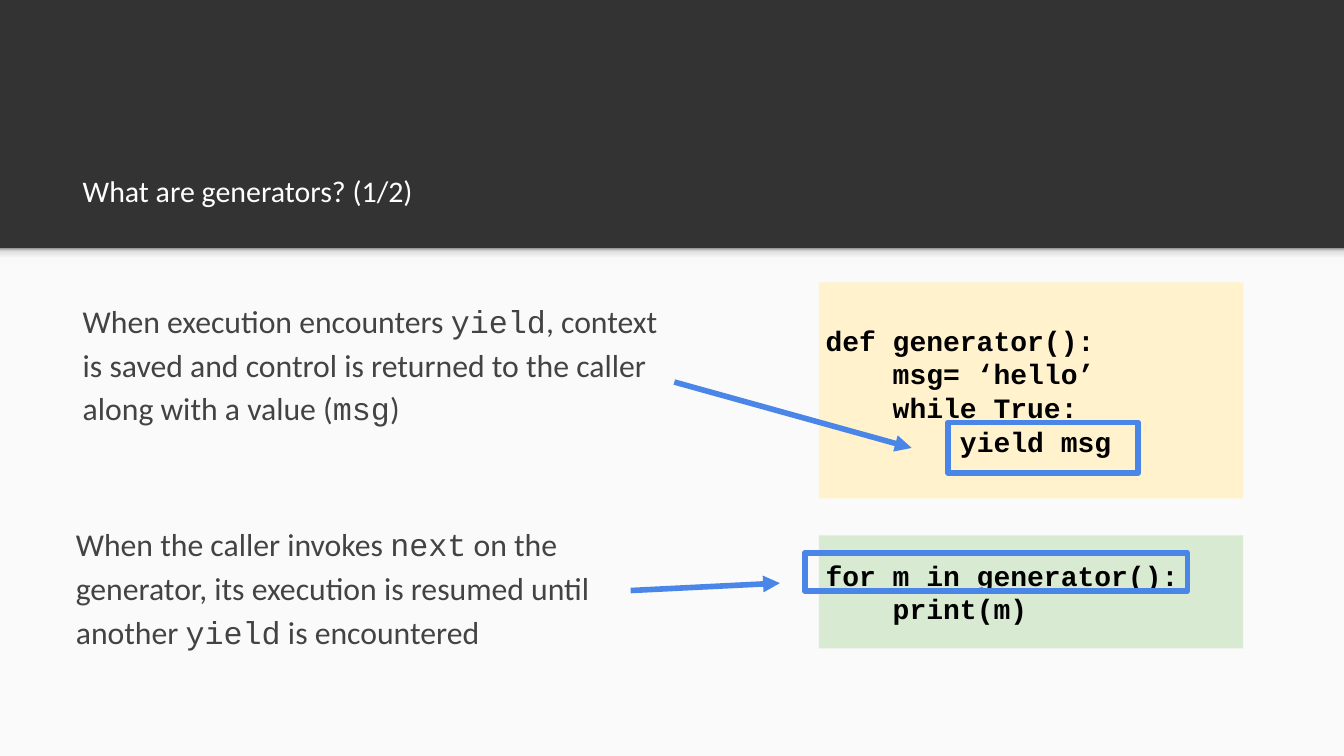
from lxml.etree import SubElement
from pptx import Presentation
from pptx.dml.color import RGBColor
from pptx.enum.shapes import MSO_CONNECTOR, MSO_SHAPE
from pptx.enum.text import MSO_ANCHOR, MSO_AUTO_SIZE, PP_ALIGN
from pptx.oxml.ns import qn
from pptx.util import Pt

PX = 9144
SANS, MONO = "Calibri", "Courier New"
DARK, LIGHT, GREY, BLUE = "333333", "FAFAFA", "434343", "4A86E8"
TAB = 100

TITLE = "What are generators? (1/2)"
YIELD = [
    ("When execution encounters ", SANS), ("yield", MONO),
    (", context is saved and control is returned to the caller along with a value (", SANS),
    ("msg", MONO), (")", SANS),
]
NEXT = [
    ("When the caller invokes ", SANS), ("next", MONO),
    (" on the generator, its execution is resumed until another ", SANS),
    ("yield", MONO), (" is encountered", SANS),
]
CODE = [
    ((1218, 420, 631, 321), "FFF2CC",
     [(0, "def generator():"), (1, "msg= ‘hello’"), (1, "while True:"), (2, "yield msg")]),
    ((1218, 796, 631, 168), "D9EAD3",
     [(0, "for m in generator():"), (1, "print(m)")]),
]
MARKS = [
    ((1003, 568, 1356, 666), (1410, 628, 283, 75)),
    ((938, 878, 1160, 867), (1197, 822, 569, 57)),
]
FADE = [(0, "F9F9F9"), (36, "F9F9F9"), (80, "DEDEDE"), (100, "999999")]


def emu(*nums):
    return [n * PX for n in nums]


def paint(fill, color):
    fill.solid()
    fill.fore_color.rgb = RGBColor.from_string(color)


def write(shape, paras, size, color, inset=10, anchor=MSO_ANCHOR.MIDDLE,
          bold=False, lead=1.0, before=0):
    frame = shape.text_frame
    frame.word_wrap = True
    frame.auto_size = MSO_AUTO_SIZE.NONE
    frame.vertical_anchor = anchor
    frame.margin_left = frame.margin_right = inset * PX
    frame.margin_top = frame.margin_bottom = inset * PX
    for i, (level, runs) in enumerate(paras):
        para = frame.add_paragraph() if i else frame.paragraphs[0]
        para.alignment = PP_ALIGN.LEFT
        para.line_spacing = lead
        para.space_before = Pt(before)
        props = para._p.get_or_add_pPr()
        props.set("marL", str(level * TAB * PX))
        props.set("indent", "0")
        SubElement(props, qn("a:buNone"))
        for text, face in runs:
            run = para.add_run()
            run.text = text
            font = run.font
            font.name, font.size, font.bold = face, Pt(size), bold
            font.color.rgb = RGBColor.from_string(color)


def stroke(line):
    paint(line.fill, BLUE)
    line.width = Pt(6)


def rect(box, color=None):
    shape = slide.shapes.add_shape(MSO_SHAPE.RECTANGLE, *emu(*box))
    shape.shadow.inherit = False
    if color:
        paint(shape.fill, color)
        shape.line.fill.background()
    else:
        shape.fill.background()
        stroke(shape.line)
    return shape


def place(shape, box):
    shape.left, shape.top, shape.width, shape.height = emu(*box)
    return shape


def arrow(ends):
    link = slide.shapes.add_connector(MSO_CONNECTOR.STRAIGHT, *emu(*ends))
    stroke(link.line)
    SubElement(link.line._get_or_add_ln(), qn("a:tailEnd"), type="triangle")
    SubElement(link._element.spPr, qn("a:effectLst"))


def fade(shape):
    shape.fill.gradient()
    shape.fill.gradient_angle = 90
    stops = next(shape._element.iter(qn("a:gsLst")))
    stops.clear()
    for pos, color in FADE:
        stop = SubElement(stops, qn("a:gs"), pos=str(pos * 1000))
        SubElement(stop, qn("a:srgbClr"), val=color)


deck = Presentation()
deck.slide_width, deck.slide_height = emu(1999, 1124)
slide = deck.slides.add_slide(deck.slide_layouts[1])
paint(slide.background.fill, DARK)

panel = rect((0, 369, 1999, 755), LIGHT)
shade = rect((0, 369, 1999, 24), LIGHT)
fade(shade)
for i, back in enumerate((panel, shade)):
    slide.shapes._spTree.insert(2 + i, back._element)

title = place(slide.shapes.title, (103, 162, 1798, 168))
write(title, [(0, [(TITLE, SANS)])], 32, "FFFFFF", inset=20, anchor=MSO_ANCHOR.BOTTOM)
body = place(slide.placeholders[1], (103, 420, 900, 298))
write(body, [(0, YIELD)], 34, GREY, inset=20, anchor=MSO_ANCHOR.TOP, lead=1.15, before=16)

for box, color, lines in CODE:
    paras = [(level, [(text, MONO)]) for level, text in lines]
    write(rect(box, color), paras, 30, "000000", bold=True)

note = slide.shapes.add_textbox(*emu(103, 726, 927, 287))
write(note, [(0, NEXT)], 34, GREY, lead=1.15, before=16)

for ends, box in MARKS:
    arrow(ends)
    rect(box)

deck.save("out.pptx")
